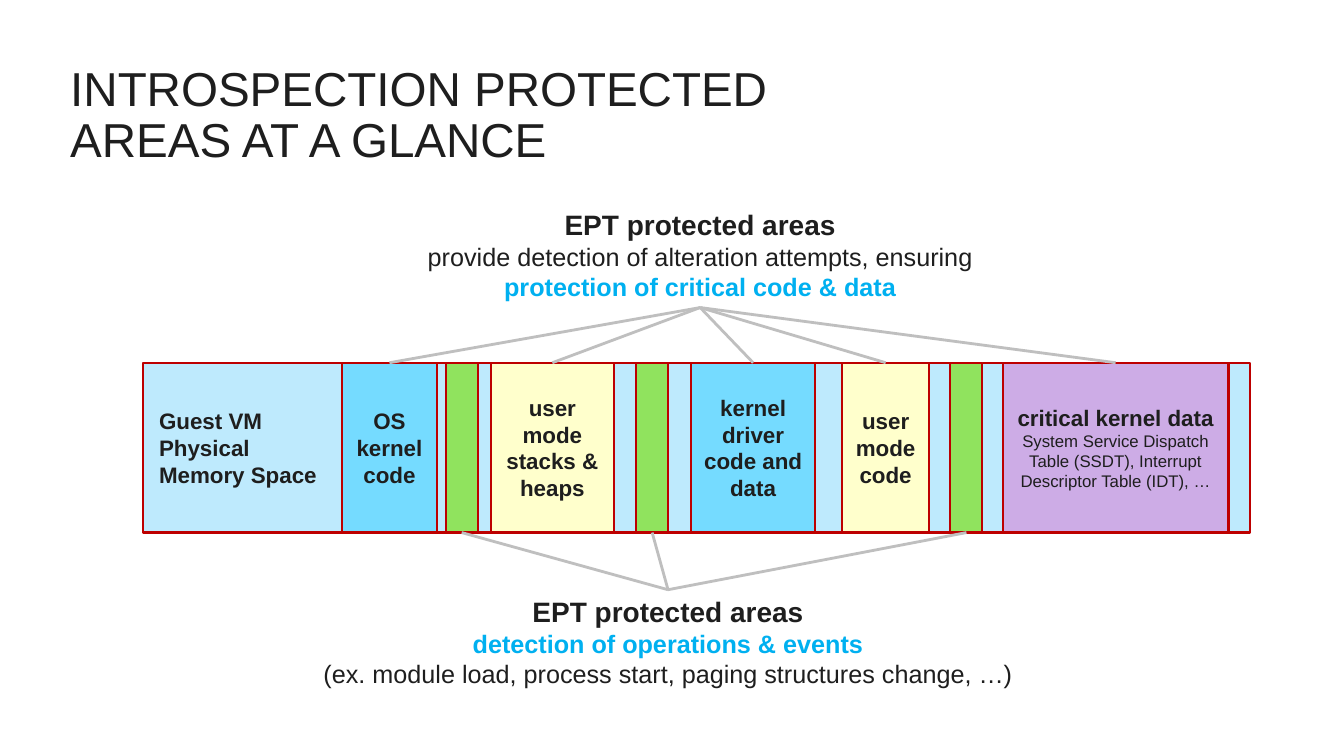
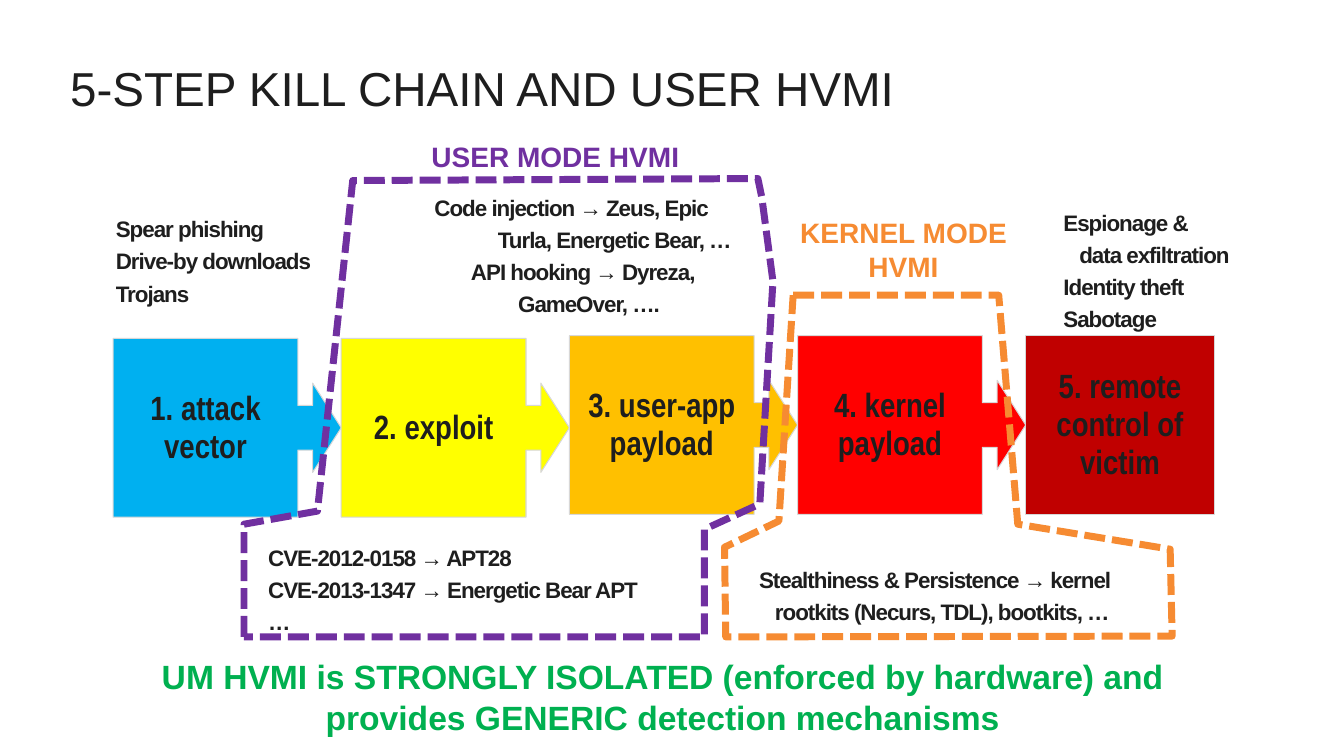
from dataclasses import dataclass

from lxml.etree import SubElement
from pptx import Presentation
from pptx.dml.color import RGBColor
from pptx.enum.dml import MSO_LINE
from pptx.enum.shapes import MSO_CONNECTOR, MSO_SHAPE
from pptx.enum.text import MSO_ANCHOR, MSO_AUTO_SIZE, PP_ALIGN
from pptx.oxml.ns import qn
from pptx.util import Cm, Pt


@dataclass(frozen=True)
class Theme:
    font: str = "Arial"
    narrow: str = "Arial Narrow"
    ink: str = "1E1E1E"
    accent: str = "00B0F0"
    ray: str = "BFBFBF"
    cell_edge: str = "BD0000"
    memory: str = "BEEAFD"
    kernel: str = "75DBFF"
    user: str = "FFFFCC"
    event: str = "90E35E"
    critical: str = "CDACE6"
    step_edge: str = "D7D7D7"
    exploit: str = "FFFF00"
    user_app: str = "FFC000"
    kernel_step: str = "FF0000"
    control: str = "C00000"
    user_mode: str = "7030A0"
    kernel_mode: str = "F68B32"
    conclusion: str = "00B050"
    title_size: int = 34
    large: int = 24
    heading: int = 20
    body: int = 18
    label: int = 16
    small: int = 12


T = Theme()


@dataclass(frozen=True)
class Run:
    text: str
    size: int = T.label
    color: str = T.ink
    bold: bool = True
    font: str = T.font
    spacing: float = 0


@dataclass(frozen=True)
class Para:
    runs: tuple[Run, ...]
    align: PP_ALIGN = PP_ALIGN.CENTER
    line: float = 1.0
    indent: float = 0


@dataclass(frozen=True)
class Box:
    x: float
    y: float
    w: float
    h: float

    def emu(self) -> tuple:
        return Cm(self.x), Cm(self.y), Cm(self.w), Cm(self.h)


@dataclass(frozen=True)
class Cell:
    x: float
    w: float
    fill: str
    paras: tuple[Para, ...] = ()


@dataclass(frozen=True)
class Step:
    text: str
    fill: str
    y: float
    inset: float = 0.25


@dataclass(frozen=True)
class Note:
    box: Box
    lines: tuple[tuple[str, float], ...]


@dataclass(frozen=True)
class Zone:
    color: str
    points: tuple[tuple[float, float], ...]
    name: str
    name_box: Box


TITLE_BOX = Box(1.52, 1.52, 21.56, 2.84)
MEMORY_BOX = Box(3.61, 9.14, 27.89, 4.28)


def label(text: str) -> tuple[Para, ...]:
    return (Para((Run(text),)),)


GUARDED = (
    Cell(8.61, 2.41, T.kernel, label("OS kernel code")),
    Cell(12.37, 3.1, T.user, label("user mode stacks & heaps")),
    Cell(17.42, 3.12, T.kernel, label("kernel driver code and data")),
    Cell(21.23, 2.18, T.user, label("user mode code")),
    Cell(25.27, 5.69, T.critical, label("critical kernel data") + (
        Para((Run("System Service Dispatch Table (SSDT), Interrupt Descriptor Table (IDT), …",
                  T.small, bold=False),)),)),
)
EVENTS = tuple(Cell(x, 0.81, T.event) for x in (11.23, 16.03, 23.95))

STEPS = (
    Step("1. attack vector", T.accent, 8.53, 0),
    Step("2. exploit", T.exploit, 8.53),
    Step("3. user-app payload", T.user_app, 8.46, 0),
    Step("4. kernel payload", T.kernel_step, 8.46),
    Step("5. remote control of victim", T.control, 8.46),
)
STEP_LEFT, STEP_PITCH, STEP_H, LAST_W = 2.85, 5.75, 4.5, 4.75

NOTES = (
    Note(Box(2.92, 5.16, 5.23, 2.82),
         (("Spear phishing", 0), ("Drive-by downloads", 0), ("Trojans", 0))),
    Note(Box(6.76, 13.44, 10.77, 2.72),
         (("CVE-2012-0158 → APT28", 0), ("CVE-2013-1347 → Energetic Bear APT", 0), ("…", 0))),
    Note(Box(10.95, 4.62, 8.51, 3.45),
         (("Code injection → Zeus, Epic", 0), ("Turla, Energetic Bear, …", 1.6),
          ("API hooking → Dyreza,", 0.92), ("GameOver, ….", 2.11))),
    Note(Box(26.8, 5, 4.55, 3.45),
         (("Espionage &", 0), ("data exfiltration", 0.4), ("Identity theft", 0), ("Sabotage", 0))),
    Note(Box(19.13, 14, 10.64, 1.83),
         (("Stealthiness & Persistence → kernel", 0),
          ("rootkits (Necurs, TDL), bootkits, …", 0.4))),
)

ZONES = (
    Zone(T.kernel_mode,
         ((19.99, 7.44), (25.17, 7.44), (25.65, 13.21), (29.49, 13.84), (29.54, 16.03),
          (18.29, 16.05), (18.26, 13.79), (19.63, 13.13)),
         "KERNEL MODE HVMI", Box(19.2, 5.31, 7.14, 1.96)),
    Zone(T.user_mode,
         ((6.15, 16.05), (6.15, 13.21), (8, 12.88), (8.89, 4.55), (19.1, 4.5), (19.2, 4.98),
          (19.48, 7.09), (19.15, 12.7), (17.75, 13.34), (17.75, 16.05)),
         "USER MODE HVMI", Box(9.27, 3.38, 9.45, 1.12)),
)


def write(tf, paras: tuple[Para, ...], anchor: MSO_ANCHOR, inset: float = 0.25) -> None:
    tf.word_wrap = True
    tf.auto_size = MSO_AUTO_SIZE.NONE
    tf.vertical_anchor = anchor
    tf.margin_left = tf.margin_right = Cm(inset)
    tf.margin_top = tf.margin_bottom = Cm(0.13)
    for i, para in enumerate(paras):
        p = tf.add_paragraph() if i else tf.paragraphs[0]
        p.alignment = para.align
        p.line_spacing = para.line
        if para.indent:
            p._p.get_or_add_pPr().set("marL", str(int(Cm(para.indent))))
        for run in para.runs:
            r = p.add_run()
            r.text = run.text
            r.font.name = run.font
            r.font.size = Pt(run.size)
            r.font.bold = run.bold
            r.font.color.rgb = RGBColor.from_string(run.color)
            if run.spacing:
                r._r.get_or_add_rPr().set("spc", str(round(run.spacing * 100)))


def add_slide(prs, title: str):
    s = prs.slides.add_slide(prs.slide_layouts[5])
    sp = s.shapes.title
    sp.left, sp.top, sp.width, sp.height = TITLE_BOX.emu()
    run = Run(title, T.title_size, bold=False)
    write(sp.text_frame, (Para((run,), PP_ALIGN.LEFT, 0.9),), MSO_ANCHOR.TOP)
    return s


def add_text(s, box: Box, paras: tuple[Para, ...], inset: float = 0.25):
    sp = s.shapes.add_textbox(*box.emu())
    write(sp.text_frame, paras, MSO_ANCHOR.TOP, inset)
    return sp


def add_block(s, kind: MSO_SHAPE, box: Box, fill: str, edge: str, width: float,
              paras: tuple[Para, ...] = (), inset: float = 0.25):
    sp = s.shapes.add_shape(kind, *box.emu())
    sp.shadow.inherit = False
    sp.fill.solid()
    sp.fill.fore_color.rgb = RGBColor.from_string(fill)
    sp.line.color.rgb = RGBColor.from_string(edge)
    sp.line.width = Pt(width)
    write(sp.text_frame, paras, MSO_ANCHOR.MIDDLE, inset)
    return sp


def add_cell(s, cell: Cell):
    box = Box(cell.x, MEMORY_BOX.y, cell.w, MEMORY_BOX.h)
    return add_block(s, MSO_SHAPE.RECTANGLE, box, cell.fill, T.cell_edge, 1.5, cell.paras)


def add_rays(s, source, source_side: int, targets: list, target_side: int) -> None:
    for target in targets:
        ray = s.shapes.add_connector(MSO_CONNECTOR.STRAIGHT, 0, 0, 0, 0)
        ray.begin_connect(source, source_side)
        ray.end_connect(target, target_side)
        ray.line.color.rgb = RGBColor.from_string(T.ray)
        ray.line.width = Pt(2)
        SubElement(ray._element.spPr, qn("a:effectLst"))


def add_zone(s, zone: Zone) -> None:
    first, *rest = [(Cm(x), Cm(y)) for x, y in zone.points]
    builder = s.shapes.build_freeform(*first)
    builder.add_line_segments(rest, close=True)
    sp = builder.convert_to_shape()
    sp.shadow.inherit = False
    sp.fill.background()
    sp.line.color.rgb = RGBColor.from_string(zone.color)
    sp.line.width = Pt(5)
    sp.line.dash_style = MSO_LINE.SQUARE_DOT
    add_text(s, zone.name_box, (Para((Run(zone.name, T.heading, zone.color),)),))


def build_memory_slide(prs) -> None:
    s = add_slide(prs, "INTROSPECTION PROTECTED AREAS AT A GLANCE")
    heading = Para((Run("EPT protected areas", T.heading),))
    events_text = add_text(s, Box(6.32, 14.86, 21.03, 2.64), (
        heading,
        Para((Run("detection of operations & events", T.body, T.accent),)),
        Para((Run("(ex. module load, process start, paging structures change, …)",
                  T.body, bold=False),)),
    ))
    guarded_text = add_text(s, Box(10.01, 5.11, 15.27, 2.64), (
        heading,
        Para((Run("provide detection of alteration attempts, ensuring ", T.body, bold=False),
              Run("protection of critical code & data", T.body, T.accent))),
    ))
    names = tuple(Para((Run(line),), PP_ALIGN.LEFT)
                  for line in ("Guest VM", "Physical", "Memory Space"))
    add_block(s, MSO_SHAPE.RECTANGLE, MEMORY_BOX, T.memory, T.cell_edge, 1.5, names, 0.4)
    guarded = [add_cell(s, cell) for cell in GUARDED]
    events = [add_cell(s, cell) for cell in EVENTS]
    add_rays(s, guarded_text, 2, guarded, 0)
    add_rays(s, events_text, 0, events, 2)


def build_kill_chain_slide(prs) -> None:
    s = add_slide(prs, "5-STEP KILL CHAIN AND USER HVMI")
    for i, step in enumerate(STEPS):
        last = i == len(STEPS) - 1
        kind = MSO_SHAPE.RECTANGLE if last else MSO_SHAPE.RIGHT_ARROW_CALLOUT
        box = Box(STEP_LEFT + i * STEP_PITCH, step.y, LAST_W if last else STEP_PITCH, STEP_H)
        paras = (Para((Run(step.text, T.large, font=T.narrow),), line=0.95),)
        sp = add_block(s, kind, box, step.fill, T.step_edge, 0.75, paras, step.inset)
        if not last:
            for n, value in enumerate((0.25, 0.25, 0.16, 0.81)):
                sp.adjustments[n] = value
    for note in NOTES:
        add_text(s, note.box, tuple(
            Para((Run(text, spacing=-0.7),), PP_ALIGN.LEFT, 1.2, indent)
            for text, indent in note.lines), 0)
    for zone in ZONES:
        add_zone(s, zone)
    add_text(s, Box(2.44, 16.41, 28.52, 2.31), (Para((Run(
        "UM HVMI is STRONGLY ISOLATED (enforced by hardware) and provides GENERIC detection mechanisms",
        T.large, T.conclusion),)),))


def main() -> None:
    prs = Presentation()
    prs.slide_width, prs.slide_height = Cm(33.87), Cm(19.05)
    build_memory_slide(prs)
    build_kill_chain_slide(prs)
    prs.save("out.pptx")


if __name__ == "__main__":
    main()
